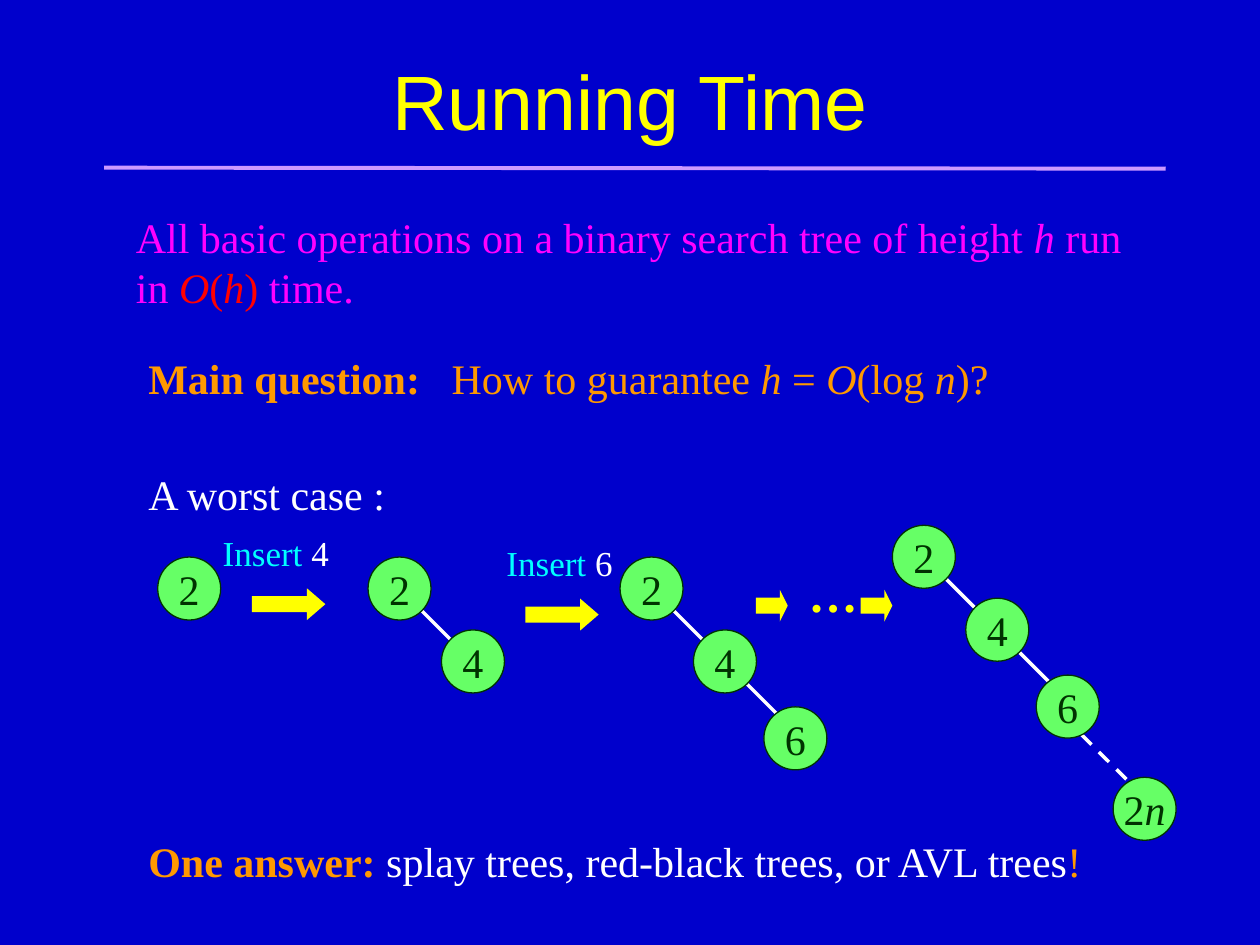
from dataclasses import dataclass
from pptx import Presentation
from pptx.dml.color import RGBColor
from pptx.enum.dml import MSO_LINE
from pptx.enum.shapes import MSO_CONNECTOR, MSO_SHAPE
from pptx.enum.text import MSO_ANCHOR as Anchor, PP_ALIGN as Align
from pptx.oxml.ns import qn
from pptx.util import Cm, Pt
from lxml import etree


@dataclass(frozen=True)
class Theme:
    background: str = "0000CC"
    yellow: str = "FFFF00"
    rule: str = "CC99FF"
    magenta: str = "FF00FF"
    red: str = "FF0000"
    orange: str = "FF9900"
    cyan: str = "00FFFF"
    white: str = "FFFFFF"
    node: str = "66FF66"
    ink: str = "003300"
    heading: str = "Arial"
    serif: str = "Times New Roman"
    title_size: int = 44
    dots_size: int = 28
    body_size: int = 24
    label_size: int = 20


THEME = Theme()
NODE_SIZE = 1.27
NODE_OFFSETS = [(0, 0), (1.48, 1.47), (2.9, 3.02), (4.45, 5.08)]
EDGES = [
    (1.05, 1.05, 1.69, 1.69),
    (2.54, 2.54, 3.18, 3.18),
    (3.81, 4.22, 4.88, 5.28),
]


def color(value):
    return RGBColor.from_string(value)


def write(frame, paragraphs, size, ink, face=THEME.serif, align=Align.LEFT, anchor=Anchor.TOP, wrap=False):
    frame.word_wrap = wrap
    frame.vertical_anchor = anchor
    for index, pieces in enumerate(paragraphs):
        para = frame.add_paragraph() if index else frame.paragraphs[0]
        para.alignment = align
        para.font.name = face
        para.font.size = Pt(size)
        para.font.color.rgb = color(ink)
        for text, style, tint in pieces:
            span = para.add_run()
            span.text = text
            if style == "b":
                span.font.bold = True
            if style == "i":
                span.font.italic = True
            if tint:
                span.font.color.rgb = color(tint)


def add_text(page, box, paragraphs, size=THEME.body_size, ink=THEME.white, **options):
    frame = page.shapes.add_textbox(*map(Cm, box)).text_frame
    write(frame, paragraphs, size, ink, **options)


def add_line(page, ends, ink, width, dashed=False):
    line = page.shapes.add_connector(MSO_CONNECTOR.STRAIGHT, *map(Cm, ends))
    line.line.color.rgb = color(ink)
    line.line.width = Pt(width)
    if dashed:
        line.line.dash_style = MSO_LINE.DASH
    etree.SubElement(line._element.spPr, qn("a:effectLst"))


def add_shape(page, kind, box, fill):
    shape = page.shapes.add_shape(kind, *map(Cm, box))
    shape.shadow.inherit = False
    shape.fill.solid()
    shape.fill.fore_color.rgb = color(fill)
    return shape


def add_arrow(page, box, head):
    arrow = add_shape(page, MSO_SHAPE.RIGHT_ARROW, box, THEME.yellow)
    arrow.line.fill.background()
    arrow.adjustments[0] = 0.5
    arrow.adjustments[1] = head


def add_node(page, left, top, pieces):
    node = add_shape(page, MSO_SHAPE.OVAL, (left, top, NODE_SIZE, NODE_SIZE), THEME.node)
    node.line.color.rgb = color(THEME.ink)
    node.line.width = Pt(0.75)
    write(node.text_frame, [pieces], THEME.body_size, THEME.ink, align=Align.CENTER, anchor=Anchor.MIDDLE)


def add_tree(page, left, top, keys):
    for index, (x1, y1, x2, y2) in enumerate(EDGES[:len(keys) - 1]):
        ends = (left + x1, top + y1, left + x2, top + y2)
        add_line(page, ends, THEME.white, 2, dashed=index == 2)
    for (x, y), key in zip(NODE_OFFSETS, keys):
        add_node(page, left + x, top + y, key)


def add_insert_step(page, left, top, key, arrow_indent):
    add_arrow(page, (left + arrow_indent, top + 1.27, 1.48, 0.64), 0.58)
    pieces = [("Insert ", "", THEME.cyan), (key, "", "")]
    add_text(page, (left, top, 2.64, 1.09), [pieces], THEME.label_size)


def add_continuation(page, left, top):
    for offset in (0, 2.11):
        add_arrow(page, (left + offset, top + 0.66, 0.64, 0.64), 0.25)
    add_text(page, (left + 0.81, top, 1.5, 1.45), [[("…", "b", "")]], THEME.dots_size, THEME.yellow)


def add_header(page, left, top, width):
    add_text(page, (left, top, width, 3.18), [[("Running Time", "", "")]], THEME.title_size, THEME.yellow,
             face=THEME.heading, align=Align.CENTER, anchor=Anchor.MIDDLE, wrap=True)
    add_line(page, (left + 0.2, top + 2.95, left + width, top + 2.97), THEME.rule, 2.25)


def add_statements(page, left):
    claim = [
        [("All basic operations on a binary search tree of height", "", ""), (" h", "i", ""), (" run ", "", "")],
        [("in ", "", ""), ("O", "i", THEME.red), ("(", "", THEME.red), ("h", "i", THEME.red),
         (")", "", THEME.red), (" time. ", "", "")],
    ]
    question = [
        ("Main question:", "b", ""), ("   How to guarantee ", "", ""), ("h ", "i", ""), ("= ", "", ""),
        ("O", "i", ""), ("(log ", "", ""), ("n", "i", ""), (")? ", "", ""),
    ]
    answer = [
        ("One answer: ", "b", ""), ("splay trees, red-black trees, or AVL trees", "", THEME.white), ("! ", "", ""),
    ]
    add_text(page, (left - 0.25, 4.14, 20.57, 2.29), claim, ink=THEME.magenta)
    add_text(page, (left, 6.99, 17.83, 1.27), [question], ink=THEME.orange)
    add_text(page, (left, 9.32, 5.33, 1.27), [[("A worst case :", "", "")]])
    add_text(page, (left, 16.71, 19.58, 1.27), [answer], ink=THEME.orange)


def add_worst_case(page, left, top):
    keys = [[(digit, "", "")] for digit in "246"]
    last_key = [("2", "", ""), ("n", "i", "")]
    add_tree(page, left, top, keys[:1])
    add_tree(page, left + 4.24, top, keys[:2])
    add_tree(page, left + 9.32, top, keys)
    add_tree(page, left + 14.81, top - 0.64, keys + [last_key])
    add_insert_step(page, left + 1.06, top - 0.64, "4", 0.84)
    add_insert_step(page, left + 6.78, top - 0.43, "6", 0.63)
    add_continuation(page, left + 12.06, top)


deck = Presentation()
deck.slide_width, deck.slide_height = Cm(25.4), Cm(19.05)
page = deck.slides.add_slide(deck.slide_layouts[6])
page.background.fill.solid()
page.background.fill.fore_color.rgb = color(THEME.background)
add_header(page, 1.9, 0.43, 21.6)
add_statements(page, 2.74)
add_worst_case(page, 3.18, 11.23)
deck.save("out.pptx")
